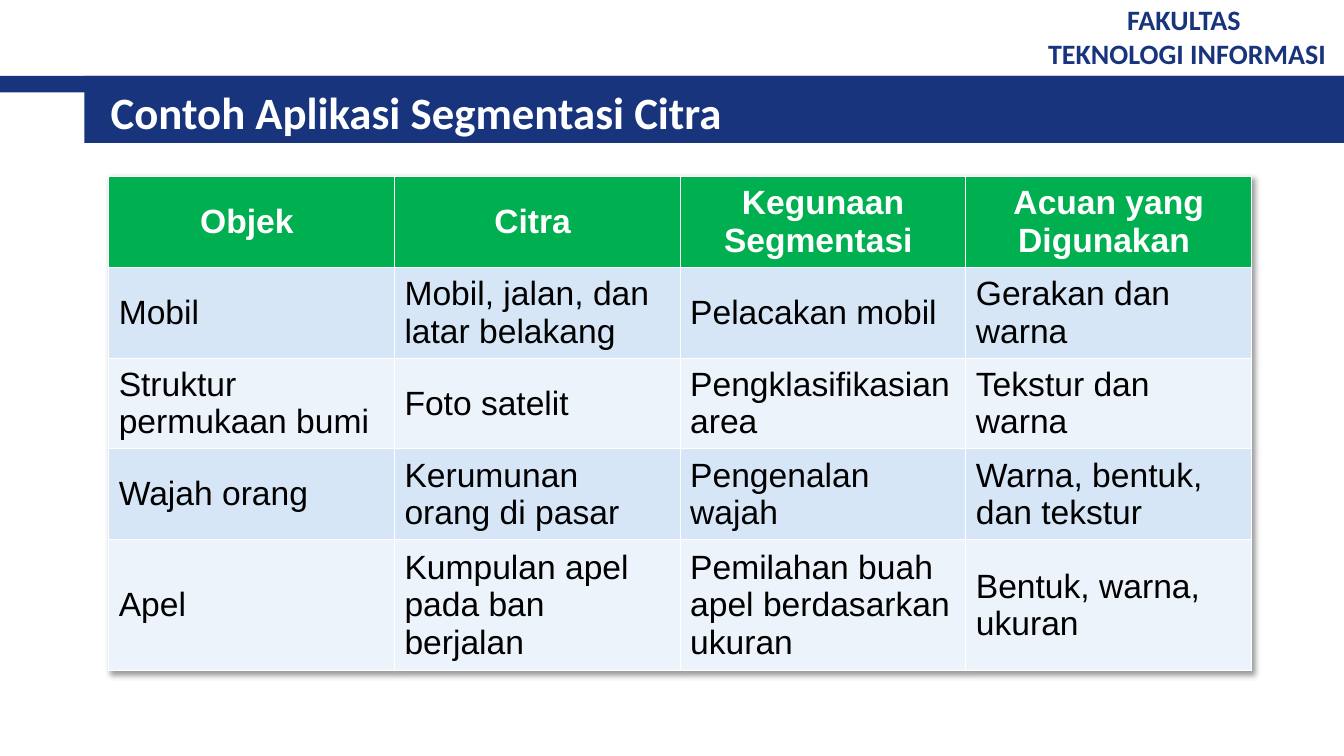
from lxml import etree
from pptx import Presentation
from pptx.dml.color import RGBColor
from pptx.enum.shapes import MSO_SHAPE
from pptx.enum.text import MSO_ANCHOR, PP_ALIGN
from pptx.util import Cm, Pt

RECTANGLE = MSO_SHAPE.RECTANGLE
MIDDLE = MSO_ANCHOR.MIDDLE
LEFT, CENTER = PP_ALIGN.LEFT, PP_ALIGN.CENTER

COLORS = {
    "navy": "17347D",
    "white": "FFFFFF",
    "black": "000000",
    "green": "00B050",
    "band_dark": "D6E6F6",
    "band_light": "ECF3FA",
}
FORMATS = {
    "faculty": {"name": "Calibri", "size": Pt(20), "bold": True},
    "title": {"name": "Calibri", "size": Pt(32), "bold": True},
    "header": {"name": "Arial", "size": Pt(24), "bold": True},
    "body": {"name": "Arial", "size": Pt(24), "bold": False},
}
ROWS = [
    ["Objek ", "Citra ", "Kegunaan Segmentasi ", "Acuan yang Digunakan "],
    ["Mobil", "Mobil, jalan, dan latar belakang", "Pelacakan mobil", "Gerakan dan warna"],
    ["Struktur permukaan bumi", "Foto satelit", "Pengklasifikasian area", "Tekstur dan warna"],
    ["Wajah orang", "Kerumunan orang di pasar", "Pengenalan wajah", "Warna, bentuk, dan tekstur"],
    ["Apel", "Kumpulan apel pada ban berjalan", "Pemilahan buah apel berdasarkan ukuran",
     "Bentuk, warna, ukuran"],
]
ROW_HEIGHTS = [2.14, 2.14, 2.14, 2.14, 3.09]
COLUMN_WIDTH = 7.2
TABLE_SHADOW = """
<a:effectLst xmlns:a="http://schemas.openxmlformats.org/drawingml/2006/main">
  <a:outerShdw blurRad="50800" dist="38100" dir="2700000" algn="tl" rotWithShape="0">
    <a:srgbClr val="000000"><a:alpha val="40000"/></a:srgbClr>
  </a:outerShdw>
</a:effectLst>"""


def paint(fill, color):
    fill.solid()
    fill.fore_color.rgb = RGBColor.from_string(COLORS[color])


def write(frame, lines, style, color, alignment):
    """Fill a text frame with one formatted paragraph per line."""
    frame.word_wrap = True
    frame.vertical_anchor = MIDDLE
    for index, line in enumerate(lines):
        para = frame.add_paragraph() if index else frame.paragraphs[0]
        para.alignment = alignment
        span = para.add_run()
        span.text = line
        for attribute, value in FORMATS[style].items():
            setattr(span.font, attribute, value)
        span.font.color.rgb = RGBColor.from_string(COLORS[color])


deck = Presentation()
deck.slide_width, deck.slide_height = Cm(33.87), Cm(19.05)
page = deck.slides.add_slide(deck.slide_layouts[6])

# Title band
for left, width, height in [(0, 33.87, 0.42), (2.13, 31.74, 1.69)]:
    bar = page.shapes.add_shape(RECTANGLE, Cm(left), Cm(1.91), Cm(width), Cm(height))
    bar.shadow.inherit = False
    paint(bar.fill, "navy")
    bar.line.fill.background()

faculty_box = page.shapes.add_textbox(Cm(25.98), Cm(0.13), Cm(7.87), Cm(1.57))
write(faculty_box.text_frame, ["FAKULTAS ", "TEKNOLOGI INFORMASI"], "faculty", "navy", CENTER)

title_box = page.shapes.add_textbox(Cm(2.54), Cm(2.03), Cm(30.2), Cm(1.57))
write(title_box.text_frame, ["Contoh Aplikasi Segmentasi Citra"], "title", "white", LEFT)

# Table of applications
table = page.shapes.add_table(
    len(ROWS), len(ROWS[0]), Cm(2.74), Cm(4.45),
    Cm(COLUMN_WIDTH * len(ROWS[0])), Cm(sum(ROW_HEIGHTS)),
).table
table._tbl.tblPr.insert(0, etree.fromstring(TABLE_SHADOW))
for column in table.columns:
    column.width = Cm(COLUMN_WIDTH)

for row_index, texts in enumerate(ROWS):
    table.rows[row_index].height = Cm(ROW_HEIGHTS[row_index])
    if row_index == 0:
        background, style, color, alignment = "green", "header", "white", CENTER
    else:
        background = "band_dark" if row_index % 2 else "band_light"
        style, color, alignment = "body", "black", LEFT
    for column_index, text in enumerate(texts):
        cell = table.cell(row_index, column_index)
        paint(cell.fill, background)
        write(cell.text_frame, [text], style, color, alignment)
        cell.vertical_anchor = MIDDLE

deck.save("out.pptx")
